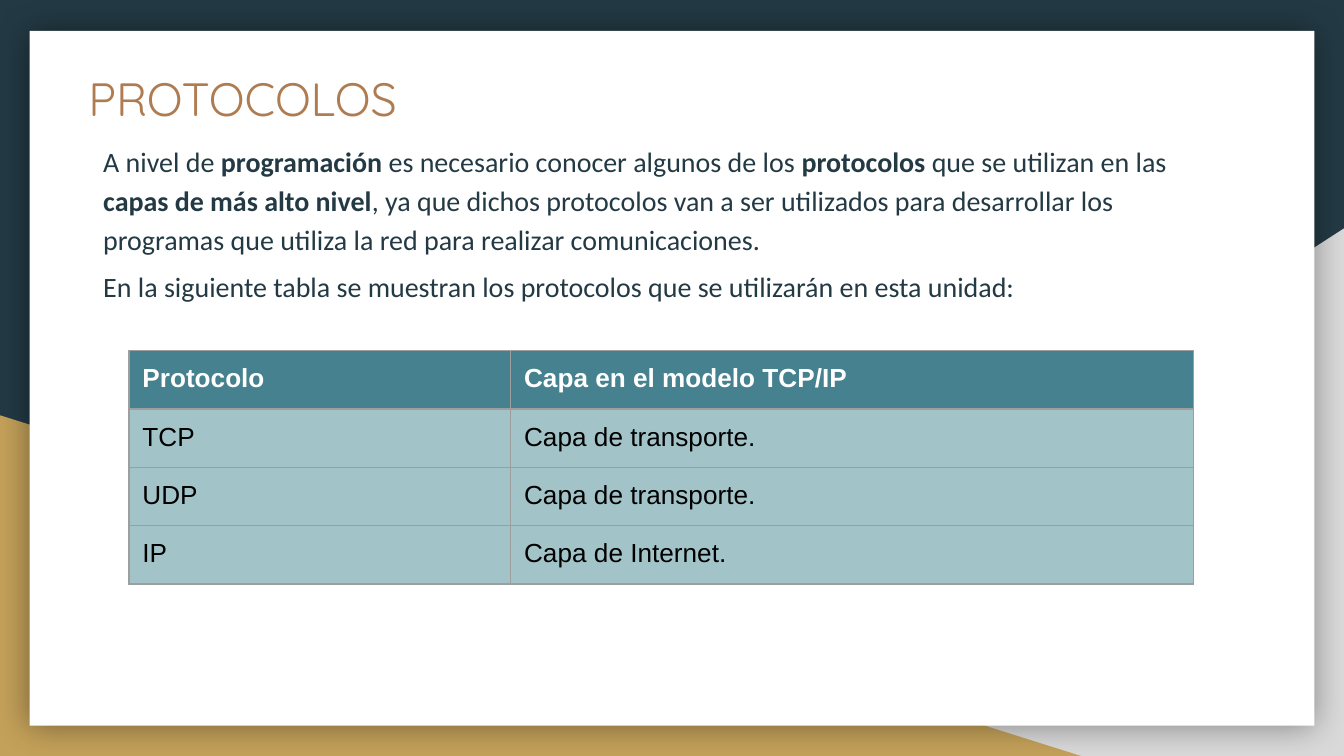
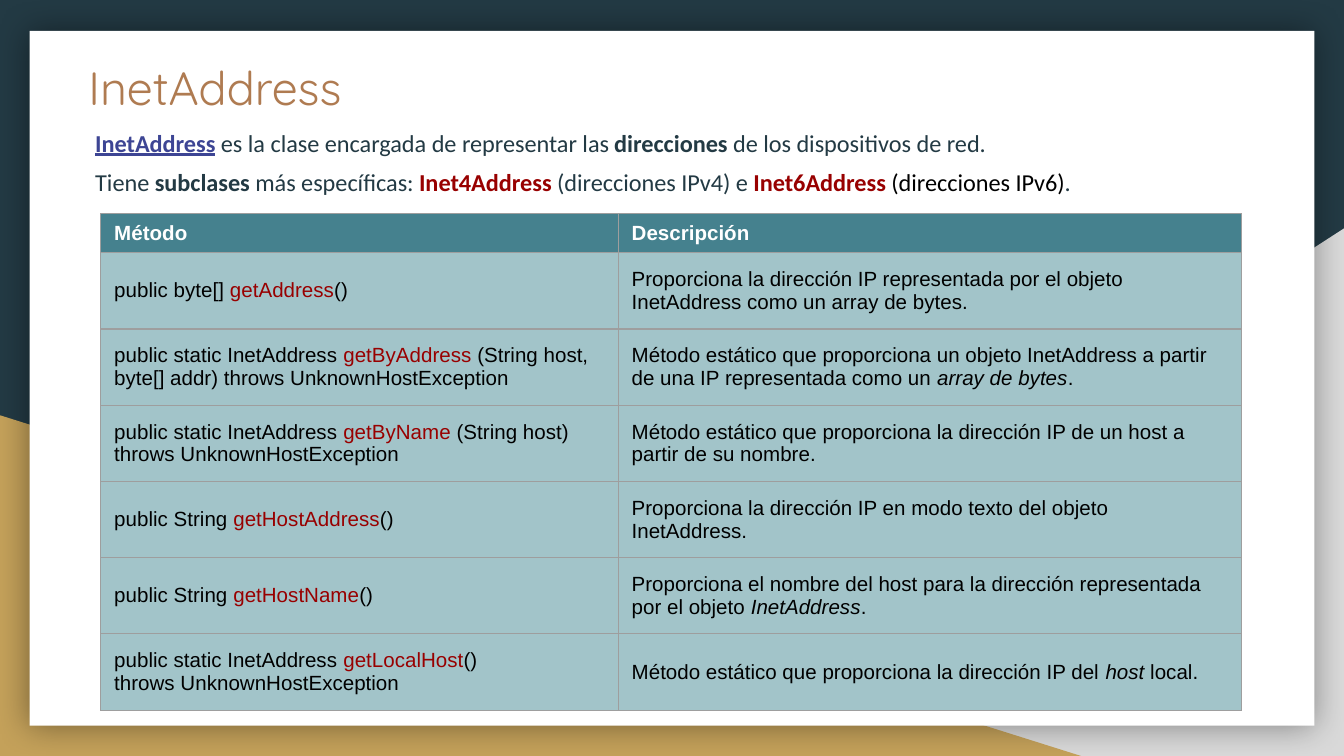
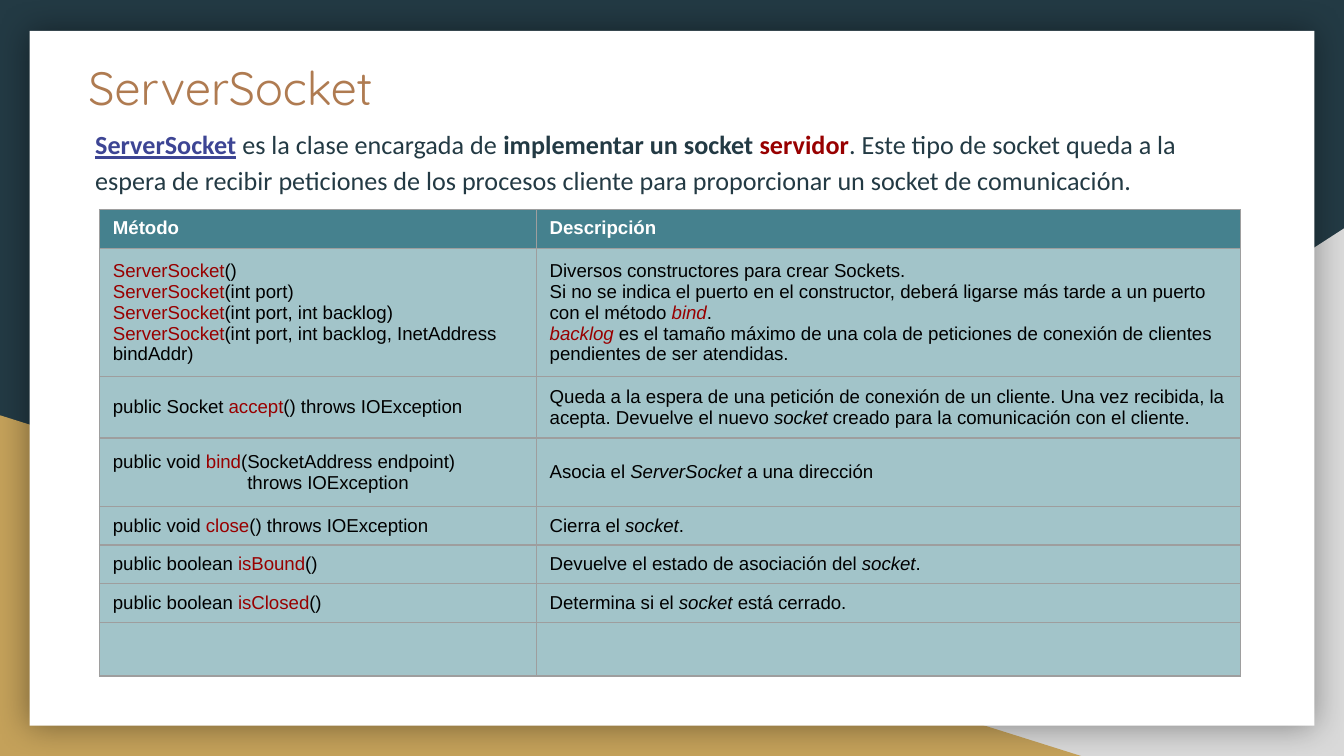
import pptx
import pptx.dml.color
import pptx.enum.shapes
import pptx.enum.text
import pptx.oxml
import pptx.oxml.ns
import pptx.util

Inches = pptx.util.Inches
Pt = pptx.util.Pt
RGBColor = pptx.dml.color.RGBColor
MSO_SHAPE = pptx.enum.shapes.MSO_SHAPE
MSO_ANCHOR = pptx.enum.text.MSO_ANCHOR

SLIDE_WIDTH = Inches(10)
SLIDE_HEIGHT = SLIDE_WIDTH * 9 // 16

NAVY = RGBColor(0x23, 0x3A, 0x44)
SILVER = RGBColor(0xD9, 0xD9, 0xD9)
GOLD = RGBColor(0xC4, 0xA1, 0x5A)
WHITE = RGBColor(0xFF, 0xFF, 0xFF)
BLACK = RGBColor(0x00, 0x00, 0x00)
COPPER = RGBColor(0xAF, 0x7B, 0x51)
CRIMSON = RGBColor(0x98, 0x00, 0x00)
INDIGO = RGBColor(0x3D, 0x45, 0x94)
TEAL = RGBColor(0x45, 0x81, 0x8E)
PALE_TEAL = RGBColor(0xA2, 0xC4, 0xC9)
BORDER_GREY = RGBColor(0x9E, 0x9E, 0x9E)

EVEN_MARGINS = (0.1, 0.1, 0.1, 0.1)
HEADER_MARGINS = (0.1, 0.06, 0, 0.04)
TIGHT_MARGINS = (0.1, 0.06, 0.1, 0.06)


def bold(text, **style):
    return text, {"bold": True, **style}


def red(text, **style):
    return text, {"color": CRIMSON, **style}


def italic(text, **style):
    return text, {"italic": True, **style}


def add_run(paragraph, text, *, font, size, color, bold=False, italic=False, underline=False):
    run = paragraph.add_run()
    run.text = text
    run.font.name = font
    run.font.size = Pt(size)
    run.font.color.rgb = color
    run.font.bold = bold
    run.font.italic = italic
    run.font.underline = underline


def write(frame, content, *, line_spacing=1.0, gap=0, **style):
    """Fill a text frame: content is a string or a list of paragraphs, each a string
    or a list of strings and (text, style) pairs."""
    lines = [content] if isinstance(content, str) else content
    for index, line in enumerate(lines):
        paragraph = frame.add_paragraph() if index else frame.paragraphs[0]
        paragraph.line_spacing = line_spacing
        paragraph.space_before = Pt(gap if index else 0)
        paragraph.space_after = Pt(0)
        for piece in [line] if isinstance(line, str) else line:
            text, changes = (piece, {}) if isinstance(piece, str) else piece
            add_run(paragraph, text, **{**style, **changes})


def set_margins(holder, margins):
    (holder.margin_left, holder.margin_top,
     holder.margin_right, holder.margin_bottom) = map(Inches, margins)


def add_borders(cell):
    properties = cell._tc.get_or_add_tcPr()
    for side in ("lnL", "lnR", "lnT", "lnB"):
        properties.append(pptx.oxml.parse_xml(
            f'<a:{side} {pptx.oxml.ns.nsdecls("a")} w="{Pt(0.75)}"><a:solidFill>'
            f'<a:srgbClr val="{BORDER_GREY}"/></a:solidFill></a:{side}>'))


def add_glow_shadow(shape):
    effects = shape._element.spPr.find(pptx.oxml.ns.qn("a:effectLst"))
    effects.append(pptx.oxml.parse_xml(
        f'<a:outerShdw {pptx.oxml.ns.nsdecls("a")} blurRad="{Pt(18)}" dist="0" dir="0" '
        'algn="ctr" rotWithShape="0"><a:srgbClr val="000000"><a:alpha val="40000"/>'
        '</a:srgbClr></a:outerShdw>'))


class Deck:
    def __init__(self):
        self.presentation = pptx.Presentation()
        self.presentation.slide_width = SLIDE_WIDTH
        self.presentation.slide_height = SLIDE_HEIGHT
        self.slide = None

    def new_slide(self, title, title_top=0.34):
        self.slide = self.presentation.slides.add_slide(self.presentation.slide_layouts[6])
        background = self.slide.background.fill
        background.solid()
        background.fore_color.rgb = NAVY
        right_wedge = self.shape(MSO_SHAPE.RIGHT_TRIANGLE, 3.92, 1.7, 6.08, 3.93, SILVER)
        right_wedge._element.spPr.xfrm.set("flipH", "1")
        self.shape(MSO_SHAPE.RIGHT_TRIANGLE, 0, 3.09, 8.06, 2.54, GOLD)
        add_glow_shadow(self.shape(MSO_SHAPE.RECTANGLE, 0.22, 0.23, 9.56, 5.17, WHITE))
        self.text(title, 0.56, title_top, 8.86, 0.65, font="Quicksand", size=25, color=COPPER)

    def shape(self, preset, left, top, width, height, color):
        shape = self.slide.shapes.add_shape(
            preset, Inches(left), Inches(top), Inches(width), Inches(height))
        shape.shadow.inherit = False
        shape.fill.solid()
        shape.fill.fore_color.rgb = color
        shape.line.fill.background()
        return shape

    def text(self, content, left, top, width, height, **style):
        frame = self.slide.shapes.add_textbox(
            Inches(left), Inches(top), Inches(width), Inches(height)).text_frame
        frame.word_wrap = True
        set_margins(frame, EVEN_MARGINS)
        write(frame, content, **style)

    def body(self, paragraphs, left, top, width, height, size, gap=0):
        self.text(paragraphs, left, top, width, height, font="Calibri", size=size,
                  color=NAVY, line_spacing=1.15, gap=gap)

    def table(self, rows, left, top, widths, heights, size, *, header_margins=HEADER_MARGINS,
              margins=EVEN_MARGINS, anchor=MSO_ANCHOR.MIDDLE):
        table = self.slide.shapes.add_table(
            len(rows), len(widths), Inches(left), Inches(top),
            Inches(sum(widths)), Inches(sum(heights))).table
        for column, width in zip(table.columns, widths):
            column.width = Inches(width)
        for row, height in zip(table.rows, heights):
            row.height = Inches(height)
        for row_index, row in enumerate(rows):
            header = row_index == 0
            for column_index, content in enumerate(row):
                cell = table.cell(row_index, column_index)
                add_borders(cell)
                cell.fill.solid()
                cell.fill.fore_color.rgb = TEAL if header else PALE_TEAL
                if not content:
                    continue
                set_margins(cell, header_margins if header else margins)
                cell.vertical_anchor = MSO_ANCHOR.TOP if header else anchor
                write(cell.text_frame, content, font="Arial", size=size, bold=header,
                      color=WHITE if header else BLACK)
        return table


def build_protocols(deck):
    deck.new_slide("PROTOCOLOS", title_top=0.42)
    deck.body([
        ["A nivel de ", bold("programación "), "es necesario conocer algunos de los ",
         bold("protocolos "), "que se utilizan en las ", bold("capas de más alto nivel"),
         ", ya que dichos protocolos van a ser utilizados para desarrollar los programas "
         "que utiliza la red para realizar comunicaciones."],
        "En la siguiente tabla se muestran los protocolos que se utilizarán en esta unidad:",
    ], 0.67, 0.94, 8.63, 1.45, size=15, gap=5)
    protocols = [
        ("Protocolo", "Capa en el modelo TCP/IP"),
        ("TCP", "Capa de transporte."),
        ("UDP", "Capa de transporte."),
        ("IP", "Capa de Internet."),
    ]
    deck.table(protocols, 0.96, 2.61, [2.84, 5.08], [0.42] * 4, 14,
               header_margins=EVEN_MARGINS, anchor=MSO_ANCHOR.TOP)


def build_inet_address(deck):
    deck.new_slide("InetAddress")
    deck.body([
        [bold("InetAddress", color=INDIGO, underline=True), bold(" ", color=CRIMSON),
         "es la clase encargada de representar las ", bold("direcciones "),
         "de los dispositivos de red."],
        ["Tiene ", bold("subclases "), "más específicas: ", red("Inet4Address ", bold=True),
         "(direcciones IPv4) e ", red("Inet6Address ", bold=True),
         ("(direcciones IPv6)", {"color": BLACK}), "."],
    ], 0.61, 0.82, 8.61, 0.65, size=13, gap=3)
    methods = [
        ("Método", "Descripción"),
        ([["public byte[] ", red("getAddress"), "()"]],
         "Proporciona la dirección IP representada por el objeto InetAddress "
         "como un array de bytes."),
        ([["public static InetAddress ", red("getByAddress "),
           "(String host, byte[] addr) throws UnknownHostException"]],
         [["Método estático que proporciona un objeto InetAddress a partir de una IP "
           "representada como un ", italic("array de bytes"), "."]]),
        ([["public static InetAddress", red(" getByName"),
           " (String host) throws UnknownHostException"]],
         "Método estático que proporciona la dirección IP de un host a partir de su nombre."),
        ([["public String ", red("getHostAddress"), "()"]],
         "Proporciona la dirección IP en modo texto del objeto InetAddress."),
        ([["public String ", red("getHostName"), "()"]],
         [["Proporciona el nombre del host para la dirección representada por el objeto ",
           italic("InetAddress"), "."]]),
        ([["public static InetAddress ", red("getLocalHost"), "()"],
          "throws UnknownHostException"],
         [["Método estático que proporciona la dirección IP del ", italic("host "), "local."]]),
    ]
    deck.table(methods, 0.75, 1.59, [3.85, 4.64], [0.29] + [0.54] * 6, 11)


def build_server_socket(deck):
    deck.new_slide("ServerSocket")
    deck.body([
        [bold("ServerSocket", color=INDIGO, underline=True), bold(" "),
         "es la clase encargada de ", bold("implementar un socket "),
         red("servidor", bold=True),
         ". Este tipo de socket queda a la espera de recibir peticiones de los procesos "
         "cliente para proporcionar un socket de comunicación."],
    ], 0.61, 0.82, 8.61, 0.65, size=14)
    constructor_arguments = ("()", "(int port)", "(int port, int backlog)",
                             "(int port, int backlog, InetAddress bindAddr)")
    methods = [
        ("Método", "Descripción"),
        ([[red("ServerSocket"), arguments] for arguments in constructor_arguments],
         ["Diversos constructores para crear Sockets.",
          ["Si no se indica el puerto en el constructor, deberá ligarse más tarde a un "
           "puerto con el método ", italic("bind", color=CRIMSON), "."],
          [italic("backlog ", color=CRIMSON),
           "es el tamaño máximo de una cola de peticiones de conexión de clientes "
           "pendientes de ser atendidas."]]),
        ([["public Socket ", red("accept"), "() throws IOException"]],
         [["Queda a la espera de una petición de conexión de un cliente. Una vez recibida, "
           "la acepta. Devuelve el nuevo ", italic("socket "),
           "creado para la comunicación con el cliente."]]),
        ([["public void ", red("bind"), "(SocketAddress endpoint)"], "throws IOException"],
         [["Asocia el ", italic("ServerSocket "), "a una dirección"]]),
        ([["public void ", red("close"), "() throws IOException"]],
         [["Cierra el ", italic("socket"), "."]]),
        ([["public boolean ", red("isBound"), "()"]],
         [["Devuelve el estado de asociación del ", italic("socket"), "."]]),
        ([["public boolean ", red("isClosed"), "()"]],
         [["Determina si el ", italic("socket "), "está cerrado."]]),
        ("", ""),
    ]
    table = deck.table(methods, 0.74, 1.56, [3.25, 5.24],
                       [0.29, 0.89, 0.43, 0.51, 0.27, 0.27, 0.27, 0.4], 10,
                       margins=TIGHT_MARGINS)
    bind_throws = table.cell(3, 0).text_frame.paragraphs[1]
    bind_throws._p.get_or_add_pPr().set("marL", str(Inches(1)))


def main():
    deck = Deck()
    build_protocols(deck)
    build_inet_address(deck)
    build_server_socket(deck)
    deck.presentation.save("out.pptx")


if __name__ == "__main__":
    main()
